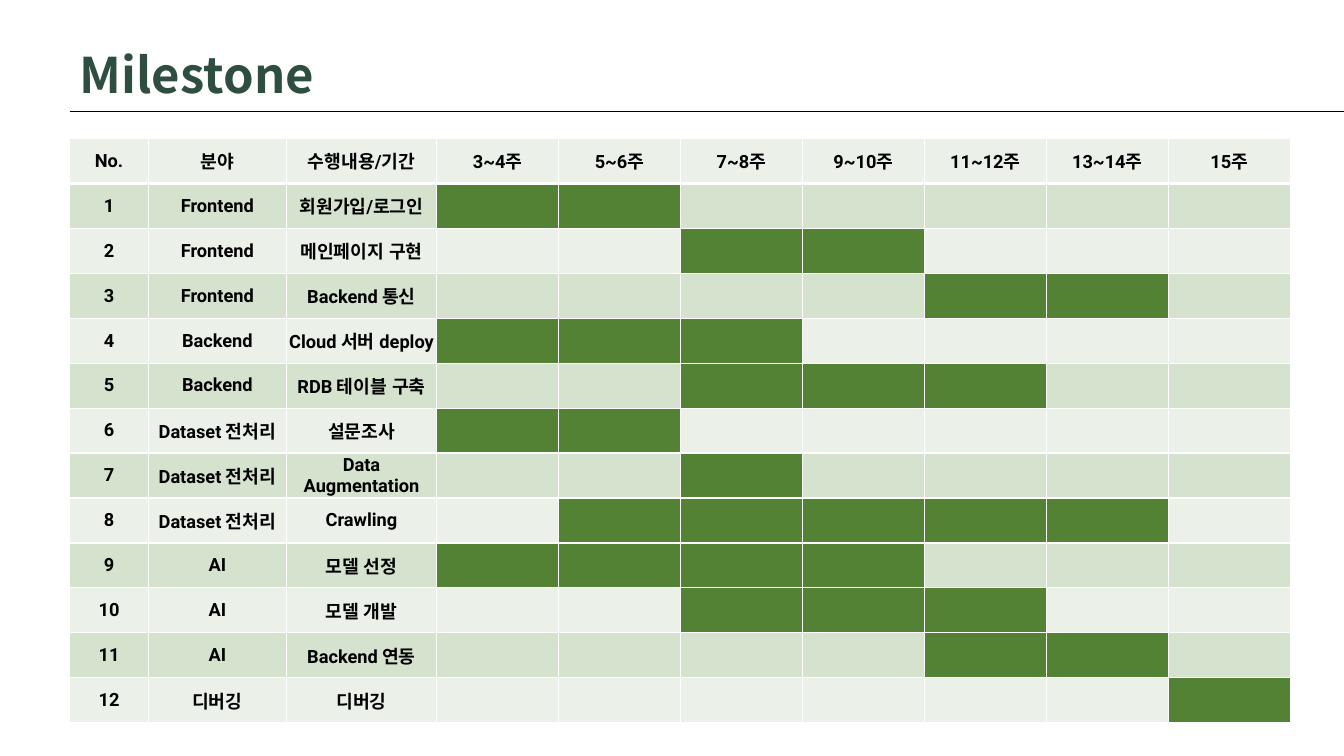
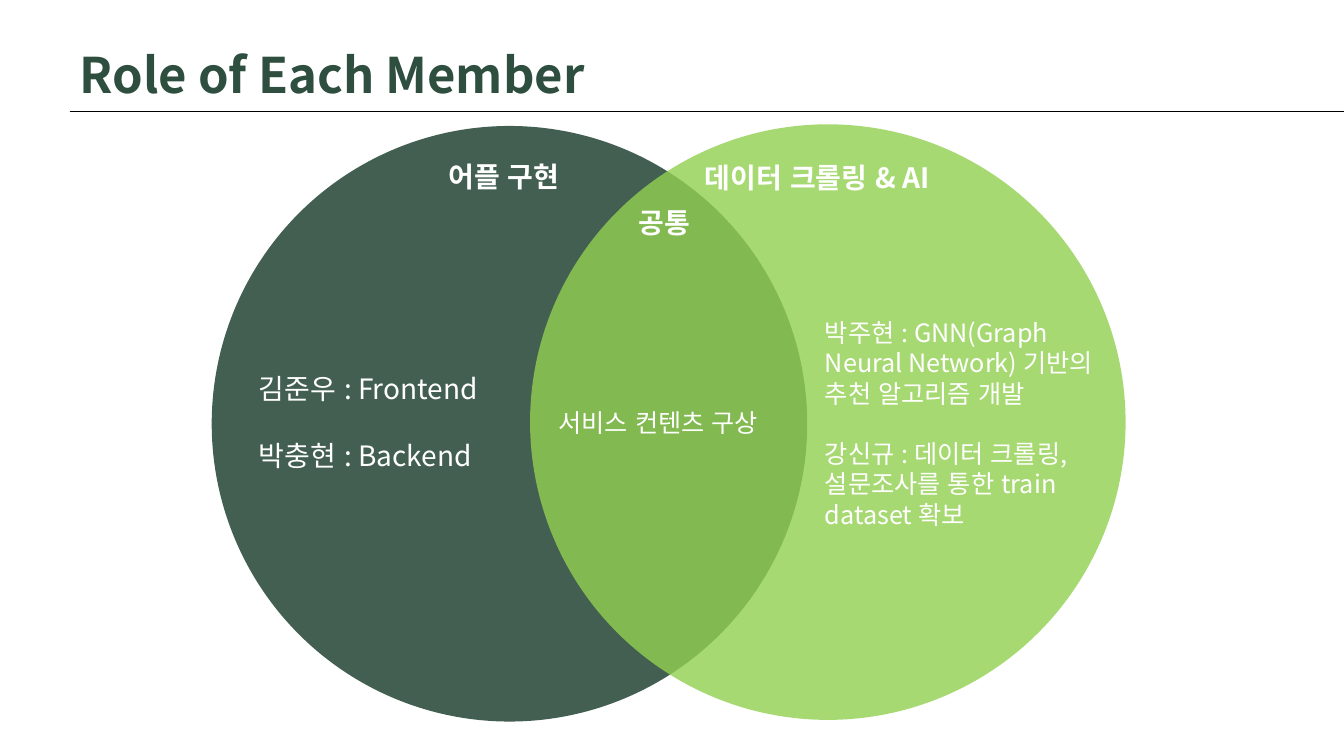
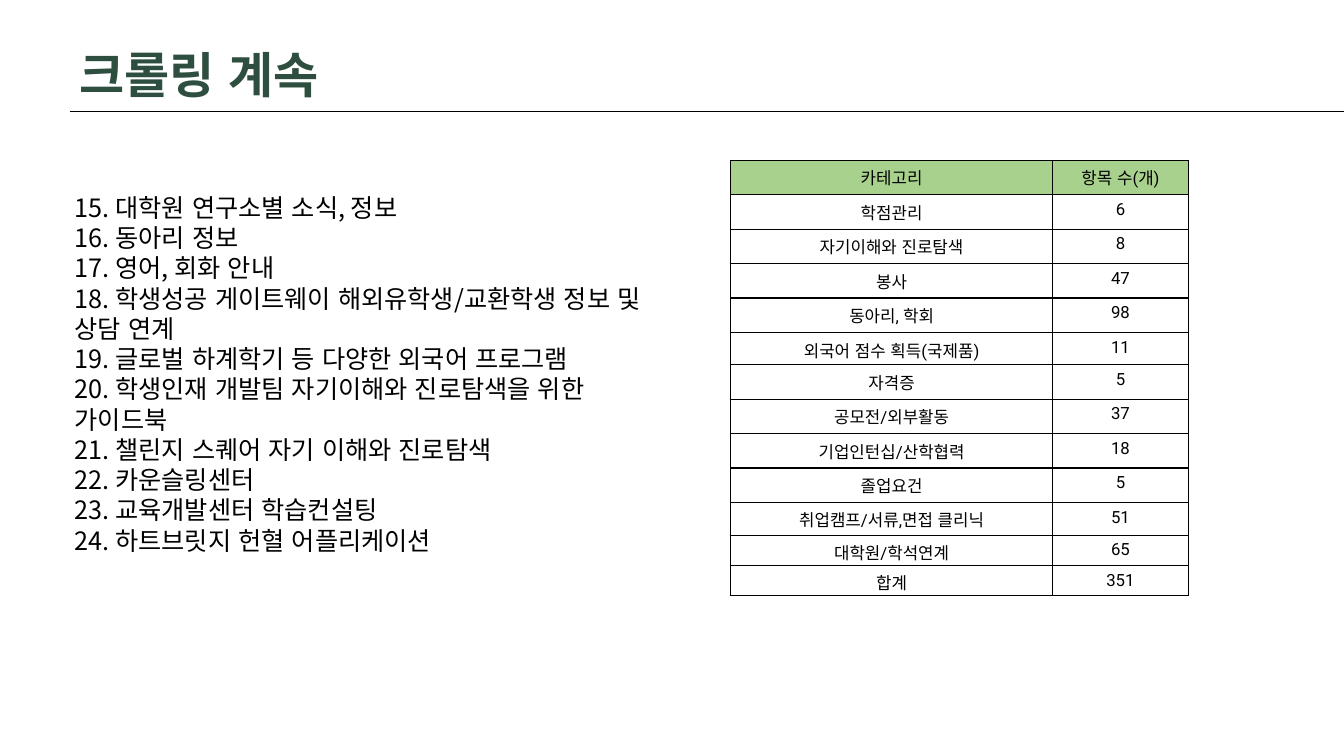
from lxml import etree
from pptx import Presentation
from pptx.dml.color import RGBColor
from pptx.enum.lang import MSO_LANGUAGE_ID
from pptx.enum.shapes import MSO_CONNECTOR, MSO_SHAPE
from pptx.enum.text import MSO_ANCHOR, PP_ALIGN
from pptx.oxml.ns import qn
from pptx.util import Inches, Pt

STRAIGHT = MSO_CONNECTOR.STRAIGHT
ELLIPSE = MSO_SHAPE.OVAL
KOREAN = MSO_LANGUAGE_ID.KOREAN
CENTER, LEFT = PP_ALIGN.CENTER, PP_ALIGN.LEFT
TOP, MIDDLE = MSO_ANCHOR.TOP, MSO_ANCHOR.MIDDLE

COLORS = {
    "title": "2E4E3F",
    "lime": "92D050",
    "active": "548235",
    "band": "D4E2CE",
    "pale": "EBF1E8",
    "head": "A9D18E",
    "black": "000000",
    "white": "FFFFFF",
}
SANS, TABLE_FONT = "Noto Sans CJK KR", "Roboto"
COLUMNS, ROWS = 160, 90
LEFT_EDGE = 8.3
INSET = 0.6

WEEKS = ["3~4주", "5~6주", "7~8주", "9~10주", "11~12주", "13~14주", "15주"]
TASKS = [
    ("Frontend", "회원가입/로그인", 0, 2),
    ("Frontend", "메인페이지 구현", 2, 2),
    ("Frontend", "Backend 통신", 4, 2),
    ("Backend", "Cloud 서버 deploy", 0, 3),
    ("Backend", "RDB 테이블 구축", 2, 3),
    ("Dataset 전처리", "설문조사", 0, 2),
    ("Dataset 전처리", "Data Augmentation", 2, 1),
    ("Dataset 전처리", "Crawling", 1, 5),
    ("AI", "모델 선정", 0, 4),
    ("AI", "모델 개발", 2, 3),
    ("AI", "Backend 연동", 4, 2),
    ("디버깅", "디버깅", 6, 1),
]
CRAWLING_SOURCES = [
    "15. 대학원 연구소별 소식, 정보",
    "16. 동아리 정보",
    "17. 영어, 회화 안내",
    "18. 학생성공 게이트웨이 해외유학생/교환학생 정보 및 상담 연계",
    "19. 글로벌 하계학기 등 다양한 외국어 프로그램",
    "20. 학생인재 개발팀 자기이해와 진로탐색을 위한 가이드북",
    "21. 챌린지 스퀘어 자기 이해와 진로탐색",
    "22. 카운슬링센터",
    "23. 교육개발센터 학습컨설팅",
    "24. 하트브릿지 헌혈 어플리케이션",
]
CATEGORIES = [
    ("카테고리", "항목 수(개)"),
    ("학점관리", "6"),
    ("자기이해와 진로탐색", "8"),
    ("봉사", "47"),
    ("동아리, 학회", "98"),
    ("외국어 점수 획득(국제품)", "11"),
    ("자격증", "5"),
    ("공모전/외부활동", "37"),
    ("기업인턴십/산학협력", "18"),
    ("졸업요건", "5"),
    ("취업캠프/서류,면접 클리닉", "51"),
    ("대학원/학석연계", "65"),
    ("합계", "351"),
]


class Deck:
    """Holds the shared style and draws on the current slide by grid units."""

    def __init__(self):
        self.presentation = Presentation()
        self.presentation.slide_width = Inches(13.33)
        self.presentation.slide_height = Inches(7.5)
        self.slide = None

    def across(self, columns):
        return round(self.presentation.slide_width * columns / COLUMNS)

    def down(self, rows):
        return round(self.presentation.slide_height * rows / ROWS)

    def place(self, left, top, width, height):
        return (self.across(left), self.down(top),
                self.across(width), self.down(height))

    def new_slide(self, title):
        layout = self.presentation.slide_layouts[6]
        self.slide = self.presentation.slides.add_slide(layout)
        self.text((8.9, 5.5, 136.8, 8.2), [title], 35, "title", True, line=0.9)
        self.rule(13.3)

    def rule(self, top):
        height = self.down(top)
        connector = self.slide.shapes.add_connector(
            STRAIGHT, self.across(LEFT_EDGE), height, self.across(COLUMNS), height)
        connector.line.color.rgb = RGBColor.from_string(COLORS["black"])
        connector.line.width = Pt(1)
        etree.SubElement(connector._element.spPr, qn("a:effectLst"))

    def run(self, paragraph, text, size, color, bold, font):
        run = paragraph.add_run()
        run.text = text
        run.font.size = Pt(size)
        run.font.bold = bold
        run.font.name = font
        run.font.language_id = KOREAN
        run.font.color.rgb = RGBColor.from_string(COLORS[color])
        east_asian = etree.Element(qn("a:ea"), typeface=SANS)
        run.font._element.find(qn("a:latin")).addnext(east_asian)

    def text(self, box, lines, size, color, bold=False, gap=0, line=None):
        shape = self.slide.shapes.add_textbox(*self.place(*box))
        frame = shape.text_frame
        frame.word_wrap = True
        frame.margin_left = frame.margin_right = self.across(INSET)
        frame.margin_top = frame.margin_bottom = self.down(INSET)
        for index, words in enumerate(lines):
            paragraph = frame.add_paragraph() if index else frame.paragraphs[0]
            paragraph.alignment = LEFT
            if line:
                paragraph.line_spacing = line
            if index and gap:
                paragraph.space_before = Pt(gap)
            self.run(paragraph, words, size, color, bold, SANS)

    def circle(self, left, top, diameter, color, opacity):
        shape = self.slide.shapes.add_shape(
            ELLIPSE, *self.place(left, top, diameter, diameter))
        shape.shadow.inherit = False
        shape.line.fill.background()
        shape.fill.solid()
        shape.fill.fore_color.rgb = RGBColor.from_string(COLORS[color])
        tone = shape._element.spPr.find(".//" + qn("a:srgbClr"))
        etree.SubElement(tone, qn("a:alpha"), val=str(opacity * 1000))

    def table(self, left, top, widths, heights):
        box = self.place(left, top, sum(widths), sum(heights))
        table = self.slide.shapes.add_table(len(heights), len(widths), *box).table
        table.first_row = table.horz_banding = False
        for column, width in zip(table.columns, widths):
            column.width = self.across(width)
        for row, height in zip(table.rows, heights):
            row.height = self.down(height)
        return table

    def cell(self, cell, text, size, fill, border, inset=0, bold=False,
             anchor=TOP, bottom=1):
        cell.margin_left = cell.margin_right = self.across(inset)
        cell.margin_top = cell.margin_bottom = self.down(inset)
        cell.vertical_anchor = anchor
        properties = cell._tc.get_or_add_tcPr()
        for side, width in zip("LRTB", (1, 1, 1, bottom)):
            edge = etree.SubElement(
                properties, qn("a:ln" + side), w=str(Pt(width)))
            solid = etree.SubElement(edge, qn("a:solidFill"))
            etree.SubElement(solid, qn("a:srgbClr"), val=COLORS[border])
        if fill:
            cell.fill.solid()
            cell.fill.fore_color.rgb = RGBColor.from_string(COLORS[fill])
        else:
            cell.fill.background()
        if text:
            paragraph = cell.text_frame.paragraphs[0]
            paragraph.alignment = CENTER
            self.run(paragraph, text, size, "black", bold, TABLE_FONT)


def milestone_slide(deck):
    deck.new_slide("Milestone")
    rows = [["No.", "분야", "수행내용/기간"] + WEEKS]
    for number, (field, task, _, _) in enumerate(TASKS, 1):
        rows.append([str(number), field, task] + [""] * len(WEEKS))
    widths = [9.36, 16.44, 17.88] + [14.52] * len(WEEKS)
    table = deck.table(LEFT_EDGE, 16.5, widths, [5.35] * len(rows))
    for row, texts in enumerate(rows):
        first, count = TASKS[row - 1][2:] if row else (0, 0)
        for column, text in enumerate(texts):
            fill = "band" if row % 2 else "pale"
            if first <= column - 3 < first + count:
                fill = "active"
            deck.cell(table.cell(row, column), text, 13, fill, "white",
                      bold=True, anchor=MIDDLE, bottom=1 if row else 3)


def role_slide(deck):
    deck.new_slide("Role of Each Member")
    deck.circle(25.2, 15, 70.9, "title", 90)
    deck.circle(63.1, 14.8, 70.9, "lime", 80)
    deck.text((30.2, 43.6, 34.9, 13.7),
              ["김준우 : Frontend", "박충현 : Backend"], 20, "white", gap=24)
    deck.text((97.6, 37.2, 34.9, 27.7),
              ["박주현 : GNN(Graph Neural Network) 기반의 추천 알고리즘 개발",
               "강신규 : 데이터 크롤링, 설문조사를 통한 train dataset 확보"],
              18, "white", gap=21.6)
    deck.text((65.9, 47.9, 28.9, 5), ["서비스 컨텐츠 구상"], 18, "white")
    for left, top, width, heading in [
        (52.8, 18.4, 20.6, "어플 구현"),
        (83.3, 18.5, 33, "데이터 크롤링 & AI"),
        (75.4, 23.9, 9, "공통"),
    ]:
        deck.text((left, top, width, 5.3), [heading], 20, "white", True)


def crawling_slide(deck):
    deck.new_slide("크롤링 계속")
    deck.text((LEFT_EDGE, 22.3, 71, 43.8), CRAWLING_SOURCES, 18, "black")
    heights = [4.1] * 5 + [3.85] + [4.1] * 4 + [3.9] + [3.6] * 2
    table = deck.table(87, 19.1, [38.3, 16.2], heights)
    for row, texts in enumerate(CATEGORIES):
        for column, text in enumerate(texts):
            deck.cell(table.cell(row, column), text, 12,
                      None if row else "head", "black", INSET)


def main():
    deck = Deck()
    milestone_slide(deck)
    role_slide(deck)
    crawling_slide(deck)
    deck.presentation.save("out.pptx")


if __name__ == "__main__":
    main()
